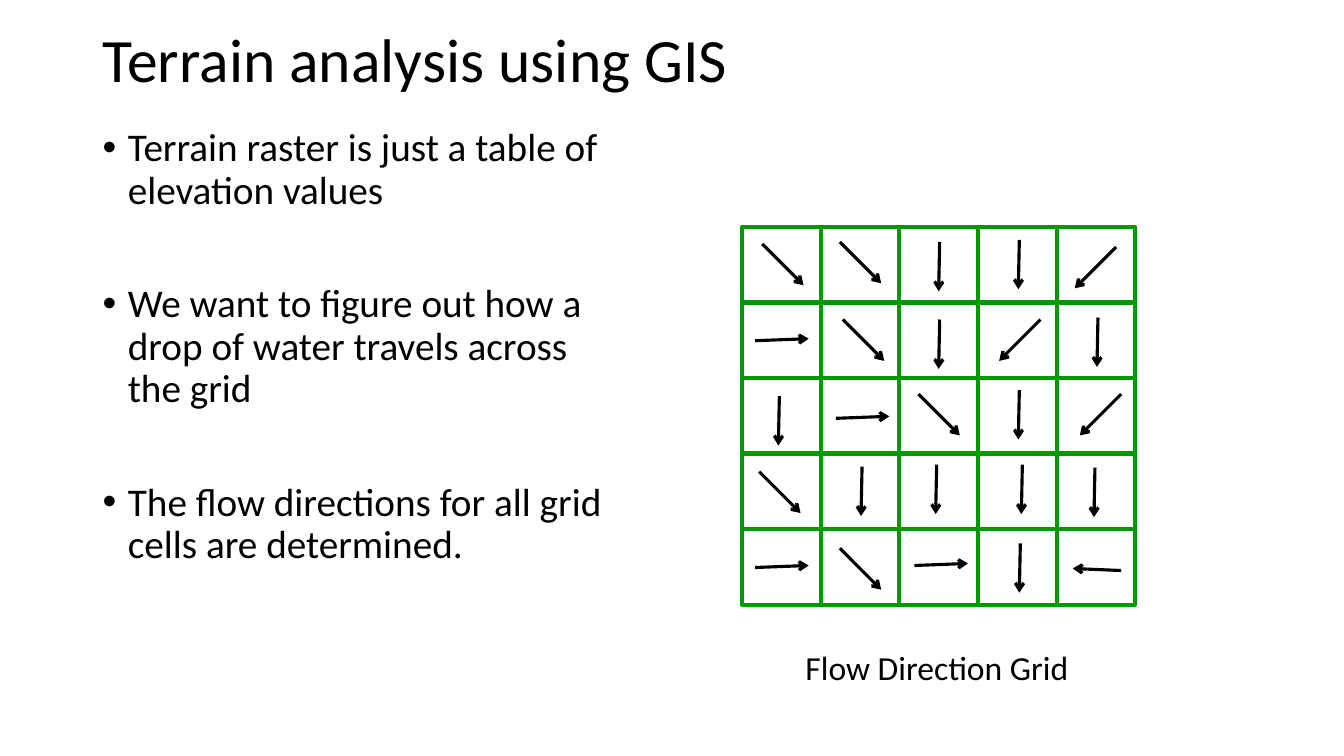
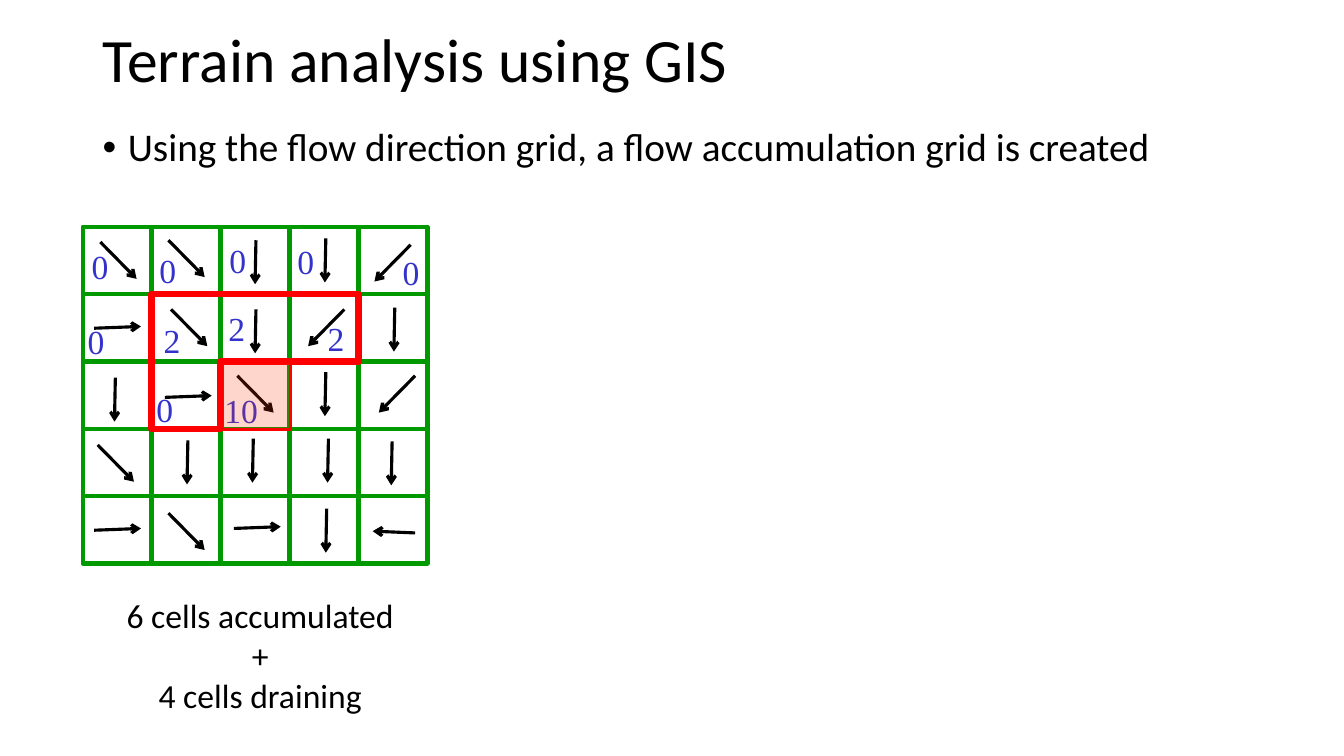
from dataclasses import dataclass

from lxml import etree
from pptx import Presentation
from pptx.dml.color import RGBColor
from pptx.enum import shapes, text
from pptx.oxml import ns
from pptx.util import Inches, Pt

BLACK = RGBColor(0x00, 0x00, 0x00)
GRID_GREEN = RGBColor(0x00, 0x99, 0x00)
COUNT_BLUE = RGBColor(0x33, 0x33, 0xCC)
BASIN_RED = RGBColor(0xFF, 0x00, 0x00)
OUTLET_FILL = RGBColor(0xFF, 0x33, 0x00)

BODY_FONT = "Calibri"
COUNT_FONT = "Times New Roman"
TITLE = "Terrain analysis using GIS"
GRID_SIZE = 5
REF_CELL = (0.78, 0.75)  # cell size in which the arrows are measured

# Arrow reach (dx, dy) by flow direction
REACH = {
    "SE": (0.41, 0.41), "SW": (-0.41, 0.41), "S": (-0.01, 0.49),
    "E": (0.53, -0.02), "W": (-0.48, -0.02),
}
# Flow direction and arrow start within each cell, row by row
FLOW = [
    [("SE", 0.20, 0.17), ("SE", 0.19, 0.15), ("S", 0.40, 0.15),
     ("S", 0.41, 0.13), ("SW", 0.59, 0.20)],
    [("E", 0.13, 0.38), ("SE", 0.22, 0.17), ("S", 0.40, 0.17),
     ("SW", 0.62, 0.17), ("S", 0.41, 0.15)],
    [("S", 0.37, 0.18), ("E", 0.15, 0.40), ("SE", 0.19, 0.16),
     ("S", 0.41, 0.12), ("SW", 0.64, 0.16)],
    [("SE", 0.17, 0.18), ("S", 0.41, 0.13), ("S", 0.37, 0.11),
     ("S", 0.44, 0.11), ("S", 0.38, 0.14)],
    [("E", 0.13, 0.38), ("SE", 0.19, 0.19), ("E", 0.15, 0.36),
     ("S", 0.42, 0.14), ("W", 0.64, 0.41)],
]
# Accumulated count: column, row, value, offset within the cell
COUNTS = [
    (0, 0, "0", -0.01, 0.14), (1, 0, "0", -0.02, 0.18),
    (2, 0, "0", -0.01, 0.08), (3, 0, "0", -0.02, 0.09),
    (4, 0, "0", 0.34, 0.20), (0, 1, "0", -0.05, 0.22),
    (1, 1, "2", 0.02, 0.21), (2, 1, "2", -0.02, 0.09),
    (3, 1, "2", 0.28, 0.19), (1, 2, "0", -0.05, 0.22),
    (2, 2, "10", -0.06, 0.23),
]
# Corners of the draining area, in grid columns and rows
BASIN = [(1, 1), (4, 1), (4, 2), (2, 2), (2, 3), (1, 3)]
OUTLET = (2, 2)


@dataclass
class Grid:
    left: float
    top: float
    width: float
    height: float

    @property
    def cell(self):
        return self.width / GRID_SIZE, self.height / GRID_SIZE

    def corner(self, col, row):
        cell_w, cell_h = self.cell
        return self.left + col * cell_w, self.top + row * cell_h


def add_text(parent, box, lines, size, font=BODY_FONT, color=BLACK,
             align=text.PP_ALIGN.LEFT, wrap=False):
    frame = parent.add_textbox(*map(Inches, box)).text_frame
    frame.word_wrap = wrap
    for index, line in enumerate(lines):
        paragraph = frame.add_paragraph() if index else frame.paragraphs[0]
        paragraph.alignment = align
        run = paragraph.add_run()
        run.text = line
        run.font.size = Pt(size)
        run.font.name = font
        run.font.color.rgb = color
    return frame


def add_title(slide):
    frame = add_text(slide.shapes, (0.92, 0.02, 11.5, 1.2), [TITLE], 44, wrap=True)
    frame.vertical_anchor = text.MSO_ANCHOR.MIDDLE
    frame.paragraphs[0].line_spacing = 0.9


def add_bullets(slide, box, lines):
    frame = add_text(slide.shapes, box, lines, 28, wrap=True)
    for index, paragraph in enumerate(frame.paragraphs):
        props = paragraph._p.get_or_add_pPr()
        props.set("marL", str(Inches(0.25)))
        props.set("indent", str(-Inches(0.25)))
        etree.SubElement(props, ns.qn("a:buFont")).set("typeface", "Arial")
        etree.SubElement(props, ns.qn("a:buChar")).set("char", "•")
        paragraph.line_spacing = 0.9
        if index:
            paragraph.space_before = Pt(51)


def outline(shape, color, width):
    shape.shadow.inherit = False
    shape.fill.background()
    shape.line.color.rgb = color
    shape.line.width = Pt(width)


def add_rect(parent, left, top, width, height, color, line_width):
    rect = parent.add_shape(shapes.MSO_SHAPE.RECTANGLE,
                            *map(Inches, (left, top, width, height)))
    outline(rect, color, line_width)
    return rect


def add_arrow(parent, x, y, dx, dy):
    arrow = parent.add_connector(shapes.MSO_CONNECTOR.STRAIGHT,
                                 *map(Inches, (x, y, x + dx, y + dy)))
    arrow.line.color.rgb = BLACK
    arrow.line.width = Pt(2.25)
    line = arrow.line._get_or_add_ln()
    etree.SubElement(line, ns.qn("a:tailEnd")).set("type", "arrow")
    etree.SubElement(arrow._element.spPr, ns.qn("a:effectLst"))


def add_flow_grid(slide, grid):
    parts = slide.shapes.add_group_shape().shapes
    cell_w, cell_h = grid.cell
    scale_x, scale_y = cell_w / REF_CELL[0], cell_h / REF_CELL[1]
    cells = [(col, row) for row in range(GRID_SIZE) for col in range(GRID_SIZE)]
    for cell in cells:
        add_rect(parts, *grid.corner(*cell), cell_w, cell_h, GRID_GREEN, 3)
    for col, row in cells:
        direction, start_x, start_y = FLOW[row][col]
        left, top = grid.corner(col, row)
        dx, dy = REACH[direction]
        add_arrow(parts, left + start_x * scale_x, top + start_y * scale_y,
                  dx * scale_x, dy * scale_y)


def add_accumulation(slide, grid):
    parts = slide.shapes.add_group_shape().shapes
    # Counts
    for col, row, count, dx, dy in COUNTS:
        left, top = grid.corner(col, row)
        width = 0.2 + 0.17 * len(count)
        add_text(parts, (left + dx, top + dy, width, 0.5), [count], 24,
                 COUNT_FONT, COUNT_BLUE)
    # Draining area
    corners = [tuple(map(Inches, grid.corner(*point))) for point in BASIN]
    builder = parts.build_freeform(*corners[0])
    builder.add_line_segments(corners[1:], close=True)
    outline(builder.convert_to_shape(), BASIN_RED, 4.5)
    # Outlet cell
    left, top = grid.corner(*OUTLET)
    outlet = add_rect(parts, left + 0.01, top + 0.01, *grid.cell, BASIN_RED, 2.25)
    outlet.fill.solid()
    outlet.fill.fore_color.rgb = OUTLET_FILL
    tint = outlet._element.spPr.find(ns.qn("a:solidFill"))[0]
    etree.SubElement(tint, ns.qn("a:alpha")).set("val", "20000")


def direction_slide(slide):
    add_title(slide)
    add_bullets(slide, (0.92, 1.22, 5.28, 5.81), [
        "Terrain raster is just a table of elevation values",
        "We want to figure out how a drop of water travels across the grid",
        "The flow directions for all grid cells are determined.",
    ])
    add_flow_grid(slide, Grid(7.36, 2.25, 3.9, 3.75))
    add_text(slide.shapes, (7.89, 6.37, 2.83, 0.5), ["Flow Direction Grid"], 24)


def accumulation_slide(slide):
    add_title(slide)
    add_bullets(slide, (0.92, 1.22, 11.53, 0.88), [
        "Using the flow direction grid, a flow accumulation grid is created",
    ])
    grid = Grid(0.82, 2.25, 3.42, 3.34)
    add_flow_grid(slide, grid)
    add_accumulation(slide, grid)
    add_text(slide.shapes, (1.14, 5.85, 2.88, 1.31),
             ["6 cells accumulated", "+", "4 cells draining"], 24,
             align=text.PP_ALIGN.CENTER)


def main():
    deck = Presentation()
    deck.slide_width, deck.slide_height = Inches(13.33), Inches(7.5)
    blank = deck.slide_layouts[6]
    for build in (direction_slide, accumulation_slide):
        build(deck.slides.add_slide(blank))
    deck.save("out.pptx")


if __name__ == "__main__":
    main()
